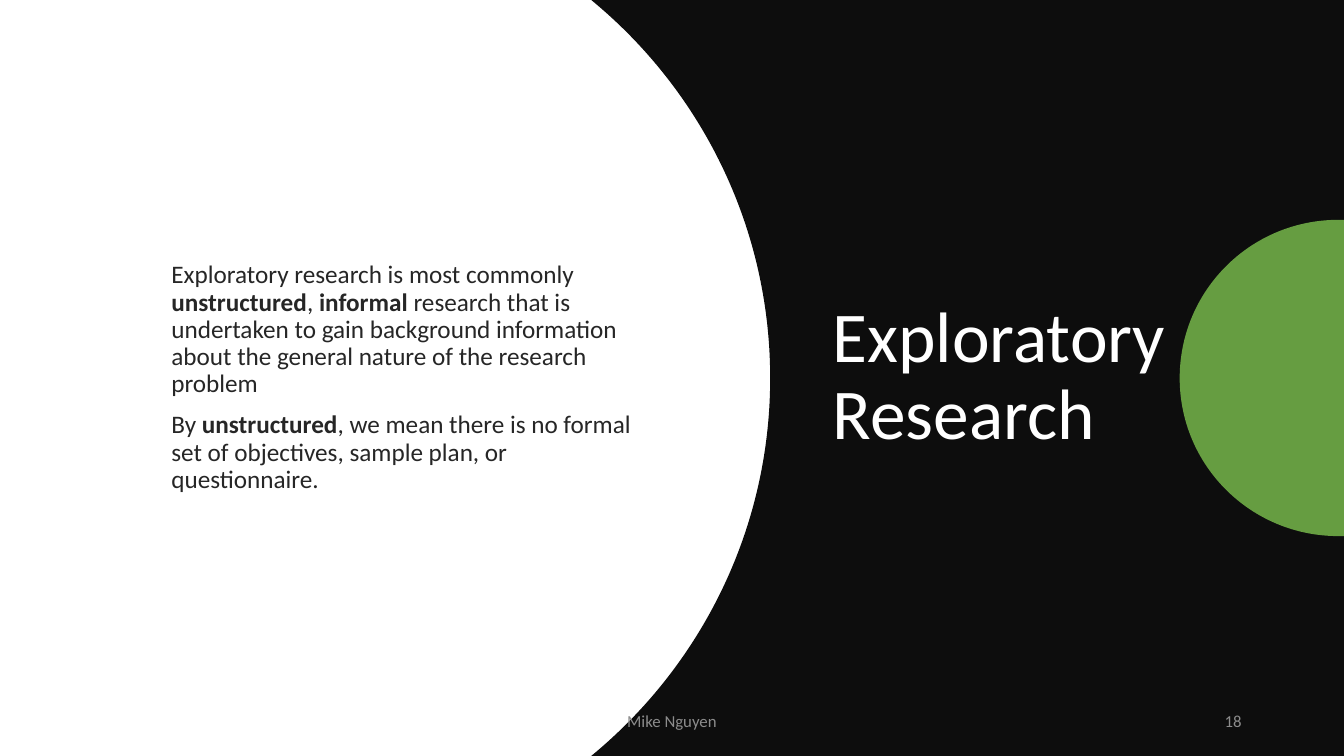
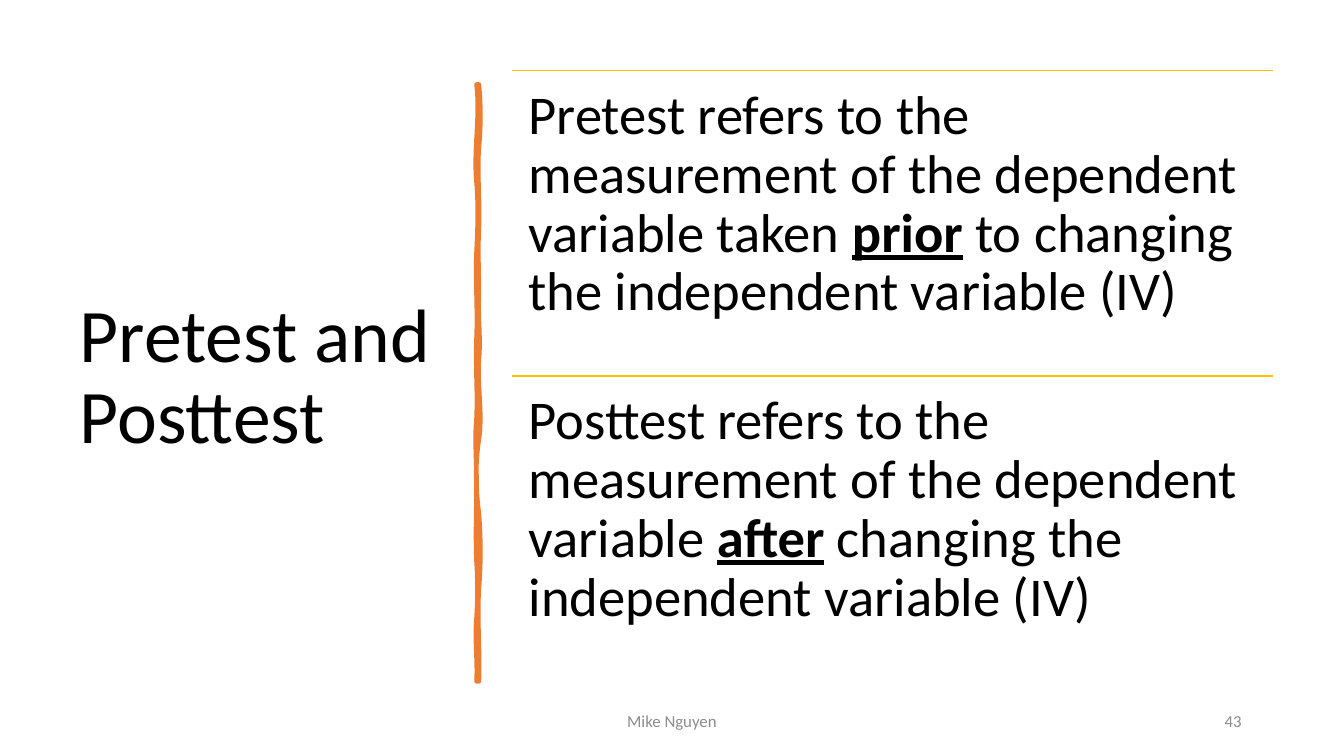
from lxml.etree import Element, SubElement
from pptx import Presentation
from pptx.dml.color import RGBColor
from pptx.enum.shapes import MSO_CONNECTOR
from pptx.enum.text import MSO_ANCHOR, MSO_AUTO_SIZE, PP_ALIGN
from pptx.oxml.ns import qn
from pptx.util import Cm, Pt

WIDTH, HEIGHT = 33.87, 19.05
WHITE, BLACK = "FFFFFF", "000000"
NIGHT, CHARCOAL, GRAY = "0D0D0D", "262626", "8C8C8C"
GREEN, ORANGE, GOLD = "70AD47", "ED7D31", "FFC000"


def rgb(value):
    return RGBColor.from_string(value)


def write(frame, *paragraphs, size, color=BLACK, align=PP_ALIGN.LEFT,
          anchor=MSO_ANCHOR.MIDDLE, spacing=0.9, before=0, underline=False):
    frame.word_wrap = True
    frame.auto_size = MSO_AUTO_SIZE.NONE
    frame.vertical_anchor = anchor
    for index, content in enumerate(paragraphs):
        paragraph = frame.add_paragraph() if index else frame.paragraphs[0]
        paragraph.alignment = align
        paragraph.line_spacing = spacing
        paragraph.space_before = Pt(before)
        for part, words in enumerate(content.split("**")):
            emphasis = part % 2 == 1
            run = paragraph.add_run()
            run.text = words
            run.font.name = "Calibri"
            run.font.size = Pt(size)
            run.font.color.rgb = rgb(color)
            run.font.bold = emphasis
            run.font.underline = emphasis and underline


def brush_edge(x, start, stretches):
    curves = []
    for end, first_bend, second_bend in stretches:
        third = (end - start) / 3
        curves.append((x + first_bend, start + third, x + second_bend, end - third, x, end))
        start = end
    return curves


class Deck:
    def __init__(self):
        self.presentation = Presentation()
        self.presentation.slide_width = Cm(WIDTH)
        self.presentation.slide_height = Cm(HEIGHT)
        self.slide = None

    def new_slide(self, number):
        self.slide = self.presentation.slides.add_slide(self.presentation.slide_layouts[5])
        self.number = number

    def title(self, words, left, top, width, height, **style):
        heading = self.slide.shapes.title
        heading.left, heading.top = Cm(left), Cm(top)
        heading.width, heading.height = Cm(width), Cm(height)
        write(heading.text_frame, words, **style)
        self.slide.shapes.element.append(heading.element)

    def text(self, paragraphs, left, top, width, height, inset=None, **style):
        box = self.slide.shapes.add_textbox(Cm(left), Cm(top), Cm(width), Cm(height))
        frame = box.text_frame
        if inset is not None:
            frame.margin_left = frame.margin_right = Cm(inset)
            frame.margin_top = frame.margin_bottom = Cm(inset)
        write(frame, *paragraphs, **style)

    def outline(self, start, segments, fill, opacity=100, line_width=0):
        builder = self.slide.shapes.build_freeform(Cm(start[0]), Cm(start[1]))
        corners = [(Cm(segment[i]), Cm(segment[i + 1]))
                   for segment in segments for i in range(0, len(segment), 2)]
        builder.add_line_segments(corners, close=True)
        shape = builder.convert_to_shape()
        self.bend(shape, segments)
        shape.shadow.inherit = False
        shape.fill.solid()
        shape.fill.fore_color.rgb = rgb(fill)
        if opacity < 100:
            solid = shape.element.spPr.find(qn("a:solidFill"))
            SubElement(solid[0], qn("a:alpha"), val=str(opacity * 1000))
        if line_width:
            shape.line.color.rgb = rgb(fill)
            shape.line.width = Pt(line_width)
        else:
            shape.line.fill.background()

    def bend(self, shape, segments):
        steps = iter(list(shape.element.iter(qn("a:lnTo"))))
        for segment in segments:
            pieces = [next(steps) for _ in range(len(segment) // 2)]
            if len(pieces) == 3:
                curve = Element(qn("a:cubicBezTo"))
                pieces[0].addprevious(curve)
                for piece in pieces:
                    curve.append(piece[0])
                    piece.getparent().remove(piece)

    def rule(self, left, top, width):
        line = self.slide.shapes.add_connector(
            MSO_CONNECTOR.STRAIGHT, Cm(left), Cm(top), Cm(left + width), Cm(top))
        line.line.color.rgb = rgb(GOLD)
        line.line.width = Pt(1)
        SubElement(line.element.spPr, qn("a:effectLst"))

    def footer(self):
        style = dict(size=12, color=GRAY, spacing=1)
        self.text(["Mike Nguyen"], 11.22, 17.66, 11.43, 1.01, align=PP_ALIGN.CENTER, **style)
        self.text([str(self.number)], 23.92, 17.66, 7.62, 1.01, align=PP_ALIGN.RIGHT, **style)


def exploratory_research(deck):
    deck.new_slide(18)
    deck.outline((14.9, 0), [
        (WIDTH, 0), (WIDTH, HEIGHT), (14.9, HEIGHT),
        (17.65, 16.79, 19.41, 13.36, 19.41, 9.53),
        (19.41, 5.69, 17.65, 2.26, 14.9, 0),
    ], NIGHT)
    deck.outline((33.73, 5.54), [
        (WIDTH, 5.54), (WIDTH, 13.51), (33.73, 13.51),
        (31.52, 13.51, 29.73, 11.73, 29.73, 9.53),
        (29.73, 7.32, 31.52, 5.54, 33.73, 5.54),
    ], GREEN, opacity=90)
    deck.title("Exploratory Research", 20.73, 3.03, 9.35, 12.98, size=51, color=WHITE)
    deck.text([
        "Exploratory research is most commonly **unstructured**, **informal** research that is "
        "undertaken to gain background information about the general nature of the research problem",
        "By **unstructured**, we mean there is no formal set of objectives, sample plan, "
        "or questionnaire.",
    ], 4.07, 4.18, 12.12, 10.69, size=18, color=CHARCOAL, before=10)
    deck.footer()


def pretest_and_posttest(deck):
    deck.new_slide(43)
    deck.title("Pretest and Posttest", 1.76, 1.78, 9.5, 15.52, size=54)
    top, bottom = 2.13, 17.17
    right_edge = brush_edge(12.07, top, [
        (3.71, 0.05, 0.05), (5.74, -0.05, 0.03), (7.47, -0.03, 0), (9.04, -0.03, 0.05),
        (11.07, -0.05, 0.1), (12.95, -0.1, -0.08), (14.83, 0.05, 0.05), (bottom, -0.05, 0.03),
    ])
    left_edge = brush_edge(12.01, bottom, [
        (15.57, 0.03, -0.05), (14.15, 0.03, 0.03), (12.12, -0.03, 0), (10.54, 0, -0.05),
        (8.51, 0.03, -0.03), (6.35, 0.03, -0.03), (4.6, 0.03, 0.05), (top, -0.08, 0.1),
    ])
    deck.outline((12.07, top), right_edge + [(12.01, bottom)] + left_edge,
                 ORANGE, line_width=3.25)
    definitions = [
        "Pretest refers to the measurement of the dependent variable taken **prior** "
        "to changing the independent variable (IV)",
        "Posttest refers to the measurement of the dependent variable **after** "
        "changing the independent variable (IV)",
    ]
    left, width, row_height = 12.91, 19.17, 7.69
    for row, definition in enumerate(definitions):
        row_top = 1.78 + row * row_height
        deck.rule(left, row_top, width)
        deck.text([definition], left, row_top, width, row_height, inset=0.41,
                  size=39, anchor=MSO_ANCHOR.TOP, underline=True)
    deck.footer()


def main():
    deck = Deck()
    exploratory_research(deck)
    pretest_and_posttest(deck)
    deck.presentation.save("out.pptx")


if __name__ == "__main__":
    main()
